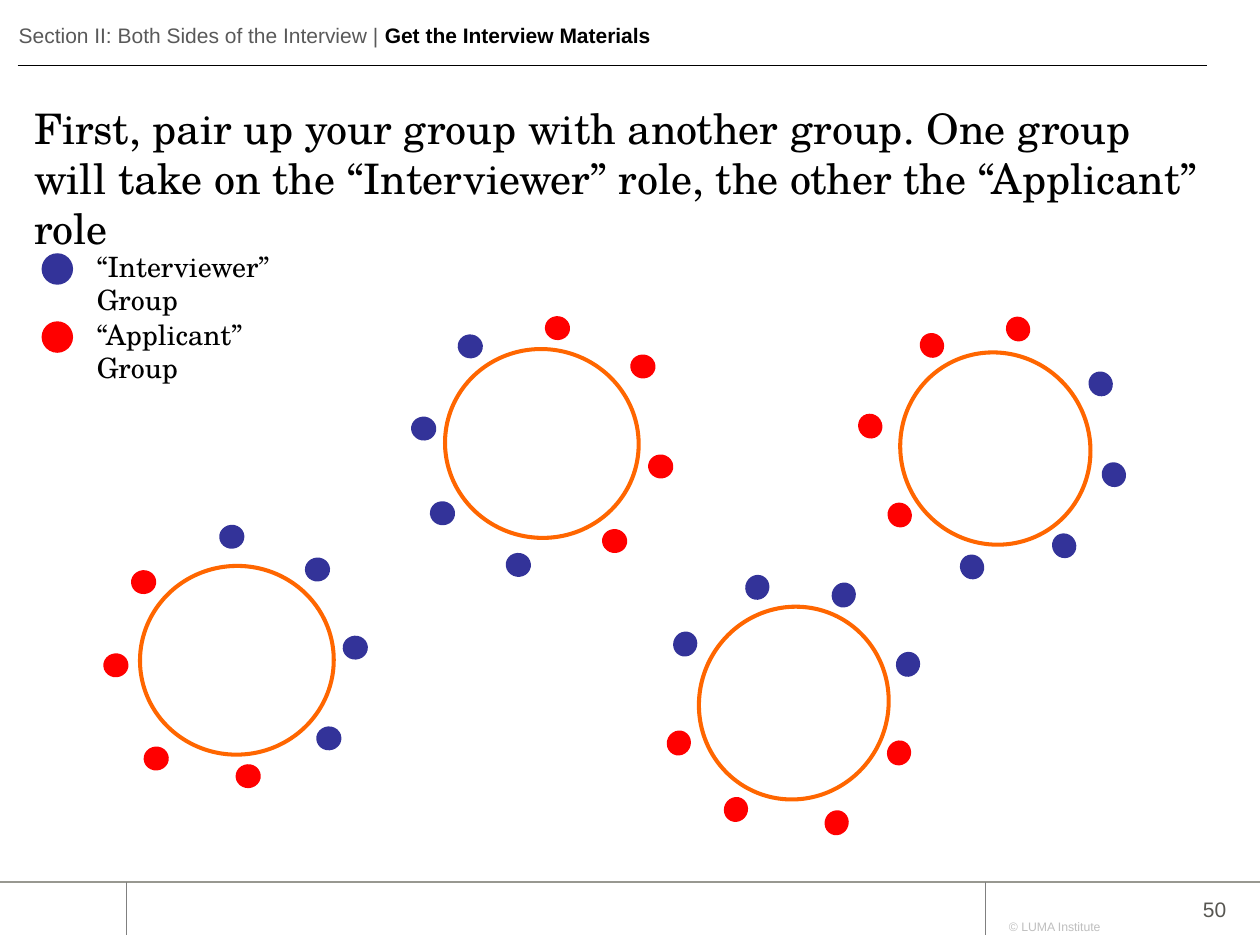
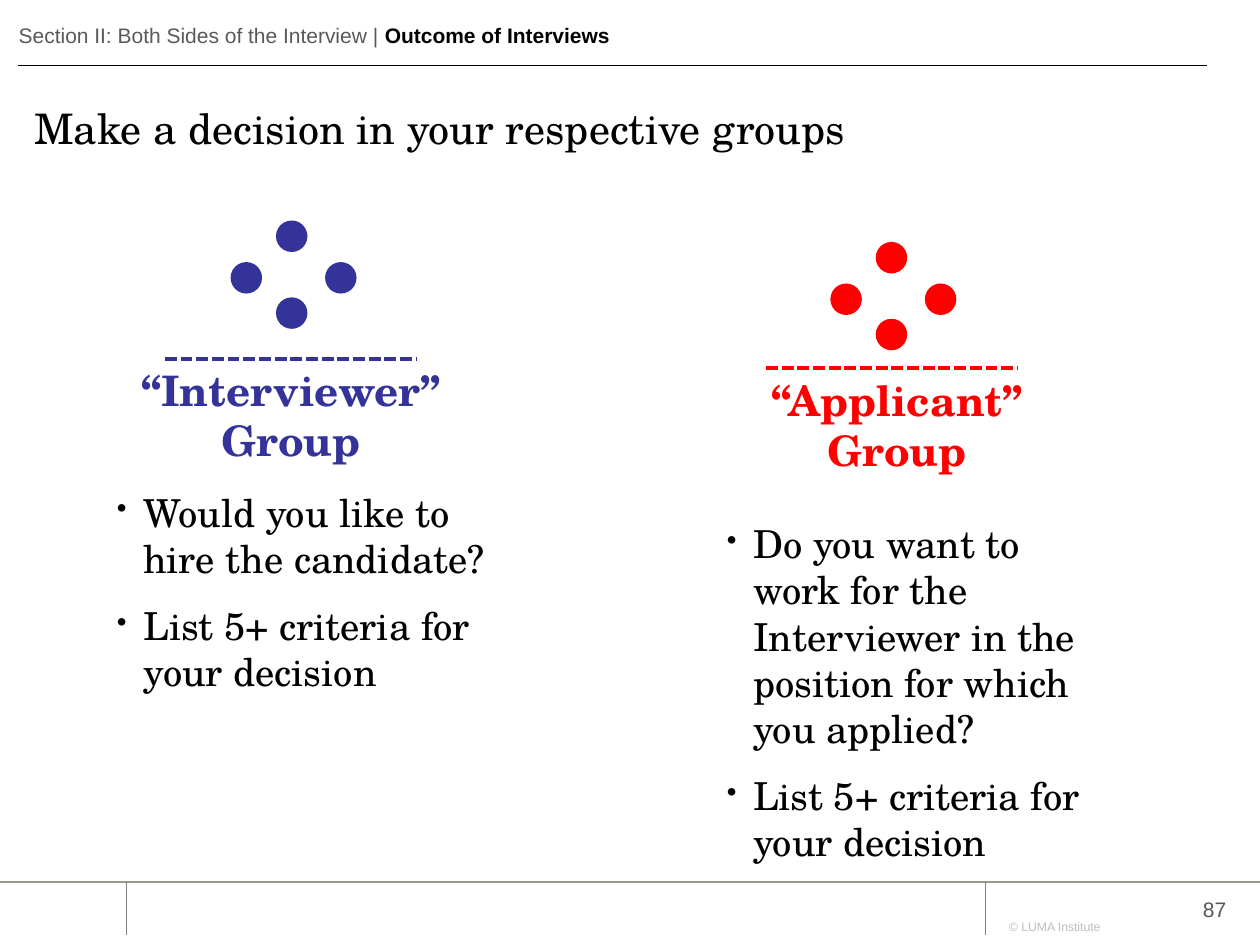
from dataclasses import dataclass
from math import cos, radians, sin

from lxml import etree
from pptx import Presentation
from pptx.dml.color import RGBColor
from pptx.enum.dml import MSO_LINE
from pptx.enum.shapes import MSO_CONNECTOR, MSO_SHAPE
from pptx.enum.text import MSO_ANCHOR, MSO_AUTO_SIZE, PP_ALIGN
from pptx.oxml.ns import qn
from pptx.util import Inches, Pt

STRAIGHT = MSO_CONNECTOR.STRAIGHT
ELLIPSE = MSO_SHAPE.OVAL
DONUT = MSO_SHAPE.DONUT
LEFT, CENTER, RIGHT = PP_ALIGN.LEFT, PP_ALIGN.CENTER, PP_ALIGN.RIGHT
TOP = MSO_ANCHOR.TOP
FIXED = MSO_AUTO_SIZE.NONE
SHORT_DASH = MSO_LINE.SQUARE_DOT
TITLE_ONLY = 5


@dataclass(frozen=True)
class Theme:
    serif: str = "TeX Gyre Schola"
    sans: str = "Arial"
    black: str = "000000"
    interviewer: str = "333399"
    applicant: str = "FF0000"
    table: str = "FF6600"
    section: str = "595959"
    number: str = "575651"
    copyright: str = "BFBFBF"
    footer_rule: str = "989891"
    footer_divider: str = "808080"
    title_size: float = 24
    bullet_size: float = 22
    legend_size: float = 16
    header_size: float = 12
    copyright_size: float = 7


SECTION = "Section II: Both Sides of the Interview | "
RING_WIDTH, RING_HEIGHT = 1.53, 1.57
SEAT_WIDTH, SEAT_HEIGHT = 0.19, 0.2
MARKER = 0.25
BASE_TURN = 266
APPLICANT_SEATS = [(-0.96, 0.04), (-0.74, -0.62), (-0.64, 0.78), (0.09, 0.92)]
INTERVIEWER_SEATS = [(0.94, -0.1), (0.64, -0.72), (-0.04, -0.98), (0.73, 0.62)]
TABLES = [
    (1.88, 5.24, 266),
    (4.3, 3.52, 99.3),
    (6.3, 5.58, 206.9),
    (7.9, 3.56, 326.8),
]
TEAM_OFFSETS = [(0, 0), (-0.36, 0.33), (0.39, 0.33), (0, 0.61)]


class DeckBuilder:
    def __init__(self, theme):
        self.theme = theme
        self.deck = Presentation()
        self.deck.slide_width = Inches(10)
        self.deck.slide_height = Inches(7.5)
        self.page = None

    def add_page(self, topic, title, number):
        theme = self.theme
        self.page = self.deck.slides.add_slide(self.deck.slide_layouts[TITLE_ONLY])
        self.title(title)
        self.header(topic)
        self.line(0.14, 0.52, 9.58, 0.52, theme.black, 1)
        self.line(0, 7, 10, 7, theme.footer_rule, 0.75)
        for x in (1, 7.82):
            self.line(x, 7, x, 7.42, theme.footer_divider, 0.25)
        self.text((7.91, 7.25, 1.34, 0.22), ["© LUMA Institute"],
                  theme.copyright_size, theme.copyright, theme.sans)
        self.text((9.15, 7.07, 0.68, 0.3), [str(number)],
                  theme.header_size, theme.number, theme.sans, align=RIGHT)

    def style(self, font, size, color, name, bold=False):
        font.size = Pt(size)
        font.name = name
        font.bold = bold
        font.color.rgb = RGBColor.from_string(color)

    def title(self, words):
        box = self.page.shapes.title
        box.left, box.top = Inches(0.17), Inches(0.76)
        box.width, box.height = Inches(9.5), Inches(1.3)
        frame = box.text_frame
        frame.text = words
        frame.word_wrap = True
        frame.auto_size = FIXED
        frame.vertical_anchor = TOP
        para = frame.paragraphs[0]
        para.alignment = LEFT
        self.style(para.font, self.theme.title_size, self.theme.black, self.theme.serif)

    def text_frame(self, area):
        box = self.page.shapes.add_textbox(*(Inches(value) for value in area))
        box.text_frame.word_wrap = True
        return box.text_frame

    def header(self, topic):
        theme = self.theme
        para = self.text_frame((0.05, 0.13, 9.5, 0.3)).paragraphs[0]
        for words, color, bold in ((SECTION, theme.section, False),
                                   (topic, theme.black, True)):
            span = para.add_run()
            span.text = words
            self.style(span.font, theme.header_size, color, theme.sans, bold)

    def text(self, area, lines, size, color, name, bold=False, align=LEFT, bullets=False):
        frame = self.text_frame(area)
        frame.text = "\n".join(lines)
        for para in frame.paragraphs:
            para.alignment = align
            if bullets:
                para.space_after = Pt(12)
                self.bullet(para)
            self.style(para.font, size, color, name, bold)

    def bullet(self, para):
        properties = para._p.get_or_add_pPr()
        properties.set("marL", str(Inches(0.21)))
        properties.set("indent", str(-Inches(0.21)))
        etree.SubElement(properties, qn("a:buSzPct"), val="75000")
        etree.SubElement(properties, qn("a:buChar"), char="•")

    def line(self, x1, y1, x2, y2, color, width, dash=None):
        rule = self.page.shapes.add_connector(
            STRAIGHT, Inches(x1), Inches(y1), Inches(x2), Inches(y2))
        rule.line.color.rgb = RGBColor.from_string(color)
        rule.line.width = Pt(width)
        if dash:
            rule.line.dash_style = dash
        etree.SubElement(rule._element.spPr, qn("a:effectLst"))

    def shape(self, kind, x, y, width, height, color, turn=0, parent=None):
        shapes = (parent or self.page).shapes
        item = shapes.add_shape(kind, Inches(x - width / 2), Inches(y - height / 2),
                                Inches(width), Inches(height))
        item.rotation = turn
        item.shadow.inherit = False
        item.fill.solid()
        item.fill.fore_color.rgb = RGBColor.from_string(color)
        item.line.fill.background()
        return item

    def marker(self, left, top, color):
        self.shape(ELLIPSE, left + MARKER / 2, top + MARKER / 2, MARKER, MARKER, color)

    def legend(self, top, words, color):
        self.marker(0.33, top, color)
        self.text((0.67, top - 0.08, 1.7, 0.6), [words], self.theme.legend_size,
                  self.theme.black, self.theme.serif)

    def seating(self, x, y, turn):
        theme = self.theme
        group = self.page.shapes.add_group_shape()
        ring = self.shape(DONUT, x, y, RING_WIDTH, RING_HEIGHT, theme.table, turn, group)
        ring.adjustments[0] = 0.021
        angle = radians(turn - BASE_TURN)
        for seats, color in ((APPLICANT_SEATS, theme.applicant),
                             (INTERVIEWER_SEATS, theme.interviewer)):
            for across, down in seats:
                self.shape(ELLIPSE,
                           x + across * cos(angle) - down * sin(angle),
                           y + across * sin(angle) + down * cos(angle),
                           SEAT_WIDTH, SEAT_HEIGHT, color, turn, group)

    def team(self, name, color, dots, rule, label, questions):
        theme = self.theme
        for across, down in TEAM_OFFSETS:
            self.marker(dots[0] + across, dots[1] + down, color)
        self.line(rule[0], rule[1], rule[0] + 2, rule[1], color, 2.25, SHORT_DASH)
        self.text((*label, 2.8, 0.91), [name, "Group"], theme.title_size, color,
                  theme.serif, bold=True, align=CENTER)
        self.text(questions[0], questions[1], theme.bullet_size, theme.black,
                  theme.serif, bullets=True)


def main():
    theme = Theme()
    builder = DeckBuilder(theme)

    builder.add_page(
        "Get the Interview Materials",
        "First, pair up your group with another group. One group will take on "
        "the “Interviewer” role, the other the “Applicant” role", 50)
    builder.legend(2.01, "“Interviewer” Group", theme.interviewer)
    builder.legend(2.55, "“Applicant” Group", theme.applicant)
    for table in TABLES:
        builder.seating(*table)

    builder.add_page("Outcome of Interviews",
                     "Make a decision in your respective groups", 87)
    criteria = "List 5+ criteria for your decision"
    builder.team("“Interviewer”", theme.interviewer, (2.19, 1.75), (1.31, 2.85),
                 (0.91, 2.84),
                 ((0.83, 3.83, 3.25, 2.08),
                  ["Would you like to hire the candidate?", criteria]))
    builder.team("“Applicant”", theme.applicant, (6.95, 1.92), (6.08, 2.92),
                 (5.72, 2.92),
                 ((5.67, 4.08, 3.25, 2.67),
                  ["Do you want to work for the Interviewer in the position "
                   "for which you applied?", criteria]))

    builder.deck.save("out.pptx")


if __name__ == "__main__":
    main()
